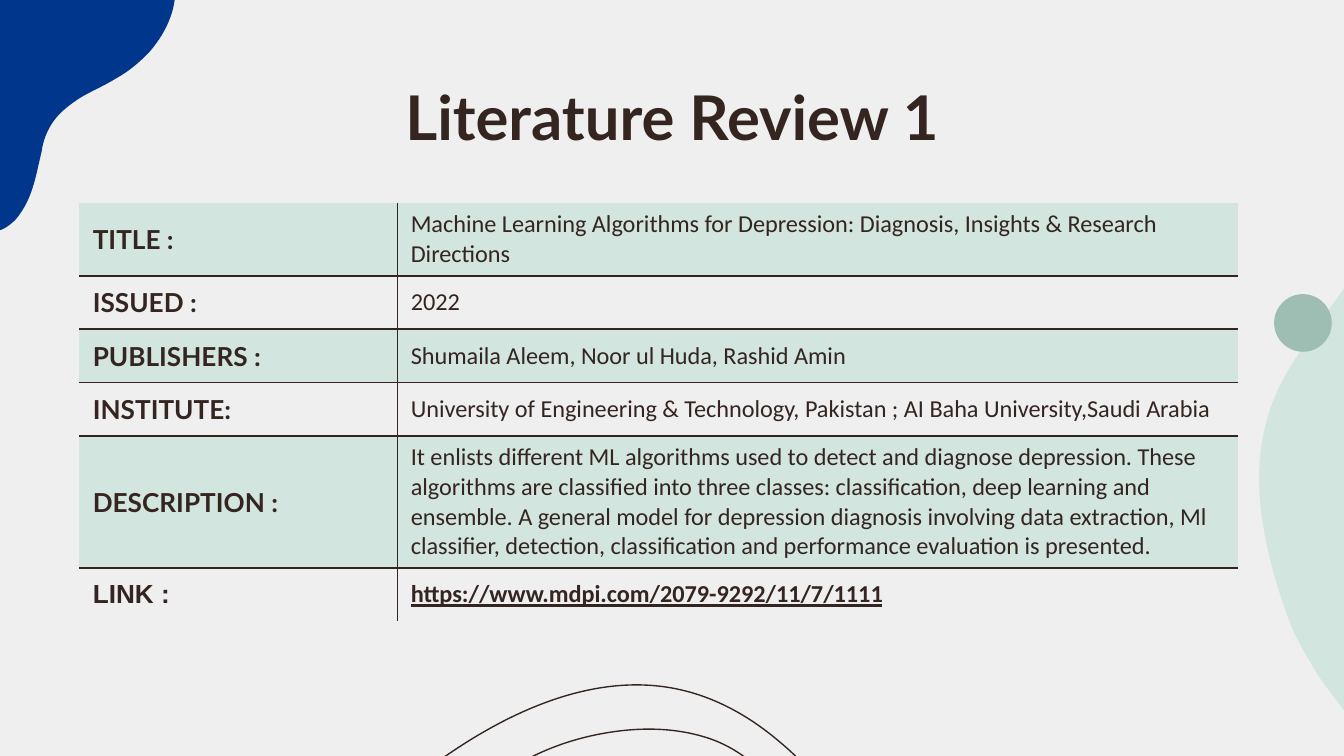
from dataclasses import dataclass

from lxml.etree import Element, SubElement
from pptx import Presentation
from pptx.dml.color import RGBColor
from pptx.enum.shapes import MSO_SHAPE
from pptx.enum.text import MSO_ANCHOR, MSO_AUTO_SIZE, PP_ALIGN
from pptx.oxml.ns import qn
from pptx.util import Cm, Pt

Point = tuple[int, int]


@dataclass(frozen=True)
class Theme:
    ink: str = "342520"
    paper: str = "EFEFEF"
    mint: str = "D2E5DF"
    sage: str = "9EBDB3"
    blue: str = "00368C"
    heading_font: str = "Lato"
    body_font: str = "Calibri"
    title_size: float = 33
    label_size: float = 14
    body_size: float = 13
    rule: float = 1
    hairline: float = 0.75


@dataclass(frozen=True)
class Entry:
    label: str
    detail: str
    height: float = 1.01
    label_font: str = "Lato"
    is_link: bool = False


@dataclass(frozen=True)
class Outline:
    """A start point and Bézier curves (two controls, end), in units of GRID cm."""
    start: Point
    curves: list[tuple[int, ...]]
    corners: tuple[Point, ...] = ()
    fill: str | None = None


THEME = Theme()
GRID = 0.0254
NO_TABLE_STYLE = "{2D5ABB26-0587-4C30-8999-92F81FD0307C}"

ENTRIES = [
    Entry("TITLE :", "Machine Learning Algorithms for Depression: Diagnosis, "
          "Insights & Research Directions", 1.36),
    Entry("ISSUED :", "2022"),
    Entry("PUBLISHERS :", "Shumaila Aleem, Noor ul Huda, Rashid Amin"),
    Entry("INSTITUTE:", "University of Engineering & Technology, Pakistan ; "
          "AI Baha University,Saudi Arabia"),
    Entry("DESCRIPTION :", "It enlists different ML algorithms used to detect and "
          "diagnose depression. These algorithms are classified into three classes: "
          "classification, deep learning and ensemble. A general model for depression "
          "diagnosis involving data extraction, Ml classifier, detection, "
          "classification and performance evaluation is presented.", 2.49),
    Entry("LINK :", "https://www.mdpi.com/2079-9292/11/7/1111",
          label_font="Arial", is_link=True),
]

MINT_WAVE = Outline((1005, 535), [
    (997, 525, 989, 514, 981, 503), (975, 493, 969, 483, 963, 471),
    (958, 459, 953, 445, 949, 431), (941, 403, 934, 369, 938, 336),
    (942, 304, 954, 281, 966, 264), (973, 252, 981, 241, 989, 230),
    (994, 223, 1000, 215, 1005, 208),
], fill=THEME.mint)

BLUE_BLOB = Outline((130, 0), [
    (128, 15, 120, 29, 110, 40), (103, 47, 96, 53, 87, 58),
    (79, 63, 70, 67, 61, 72), (53, 77, 45, 83, 40, 90),
    (35, 97, 32, 105, 31, 113), (27, 129, 25, 145, 15, 159),
    (12, 164, 6, 169, 1, 171), (0, 171, 0, 171, 0, 171),
], corners=((0, 0),), fill=THEME.blue)

SCRIBBLE = Outline((316, 574), [
    (373, 531, 445, 496, 513, 515), (538, 522, 560, 535, 580, 552),
    (597, 566, 612, 583, 620, 604), (630, 629, 628, 658, 621, 683),
    (605, 737, 565, 783, 513, 802), (460, 820, 397, 808, 358, 769),
    (319, 729, 309, 663, 337, 616), (360, 577, 404, 554, 448, 546),
    (475, 541, 503, 541, 529, 550), (554, 559, 577, 579, 585, 605),
    (590, 621, 590, 639, 585, 655), (573, 698, 530, 731, 485, 727),
    (441, 722, 404, 677, 413, 633), (417, 612, 431, 593, 451, 586),
    (471, 579, 496, 587, 506, 606), (518, 629, 503, 660, 480, 672),
    (457, 685, 429, 683, 404, 678), (378, 673, 353, 665, 326, 664),
    (300, 664, 272, 673, 258, 696), (242, 721, 251, 755, 266, 782),
    (294, 831, 343, 870, 398, 875), (456, 881, 514, 850, 549, 803),
    (565, 779, 577, 752, 579, 724), (581, 689, 567, 654, 544, 628),
    (521, 601, 489, 583, 456, 573), (405, 558, 350, 561, 303, 584),
    (256, 607, 219, 651, 208, 703), (197, 754, 214, 811, 253, 846),
])


def rgb(value: str) -> RGBColor:
    return RGBColor.from_string(value)


def on_grid(x: int, y: int) -> tuple[Cm, Cm]:
    return Cm(x * GRID), Cm(y * GRID)


def bend_segments(shape, curves: list[tuple[int, ...]]) -> None:
    """Turn the first straight segments of a freeform into Bézier curves."""
    segments = list(shape._element.iter(qn("a:lnTo")))
    for segment, (x1, y1, x2, y2, *_) in zip(segments, curves):
        segment.tag = qn("a:cubicBezTo")
        for position, control in enumerate(((x1, y1), (x2, y2))):
            x, y = on_grid(*control)
            segment.insert(position, Element(qn("a:pt"), x=str(x - shape.left),
                                             y=str(y - shape.top)))


def draw_outline(slide, outline: Outline) -> None:
    builder = slide.shapes.build_freeform(*on_grid(*outline.start), scale=1.0)
    ends = [curve[4:] for curve in outline.curves]
    builder.add_line_segments([on_grid(*end) for end in (*ends, *outline.corners)],
                              close=outline.fill is not None)
    shape = builder.convert_to_shape()
    bend_segments(shape, outline.curves)
    shape.shadow.inherit = False
    if outline.fill:
        shape.fill.solid()
        shape.fill.fore_color.rgb = rgb(outline.fill)
        shape.line.fill.background()
    else:
        shape.fill.background()
        shape.line.color.rgb = rgb(THEME.ink)
        shape.line.width = Pt(THEME.hairline)


def draw_dot(slide) -> None:
    dot = slide.shapes.add_shape(MSO_SHAPE.OVAL, Cm(24.08), Cm(5.56), Cm(1.09), Cm(1.09))
    dot.shadow.inherit = False
    dot.fill.solid()
    dot.fill.fore_color.rgb = rgb(THEME.sage)
    dot.line.fill.background()


def style_font(font, name: str, size: float, bold: bool) -> None:
    font.name, font.size, font.bold = name, Pt(size), bold
    font.color.rgb = rgb(THEME.ink)


def write_title(slide, text: str) -> None:
    title = slide.shapes.title
    title.left, title.top, title.width, title.height = Cm(2), Cm(1.24), Cm(21.4), Cm(1.6)
    frame = title.text_frame
    frame.text = text
    frame.auto_size = MSO_AUTO_SIZE.NONE
    frame.vertical_anchor = MSO_ANCHOR.TOP
    frame.margin_left = frame.margin_right = Cm(0.25)
    frame.margin_top = frame.margin_bottom = Cm(0.25)
    heading = frame.paragraphs[0]
    heading.alignment = PP_ALIGN.CENTER
    style_font(heading.font, THEME.heading_font, THEME.title_size, True)


def add_border(cell, side: str) -> None:
    border = SubElement(cell._tc.get_or_add_tcPr(), qn(f"a:ln{side}"),
                        w=str(Pt(THEME.rule)))
    SubElement(SubElement(border, qn("a:solidFill")), qn("a:srgbClr"), val=THEME.ink)


def draw_entries(slide, entries: list[Entry]) -> None:
    height = sum(entry.height for entry in entries)
    table = slide.shapes.add_table(len(entries), 2, Cm(1.5), Cm(3.84),
                                   Cm(21.9), Cm(height)).table
    table.first_row = table.horz_banding = False
    table._tbl.tblPr.find(qn("a:tableStyleId")).text = NO_TABLE_STYLE
    for column, width in zip(table.columns, (6.01, 15.89)):
        column.width = Cm(width)
    for index, entry in enumerate(entries):
        table.rows[index].height = Cm(entry.height)
        label, detail = table.cell(index, 0), table.cell(index, 1)
        label.text, detail.text = entry.label, entry.detail
        for cell, inner_side in ((label, "R"), (detail, "L")):
            add_border(cell, inner_side)
            if index > 0:
                add_border(cell, "T")
            if index < len(entries) - 1:
                add_border(cell, "B")
            cell.fill.solid()
            cell.fill.fore_color.rgb = rgb(THEME.paper if index % 2 else THEME.mint)
            cell.vertical_anchor = MSO_ANCHOR.MIDDLE
        style_font(label.text_frame.paragraphs[0].font,
                   entry.label_font, THEME.label_size, True)
        detail_font = detail.text_frame.paragraphs[0].font
        style_font(detail_font, THEME.body_font, THEME.body_size, entry.is_link)
        detail_font.underline = entry.is_link


def main() -> None:
    deck = Presentation()
    deck.slide_width, deck.slide_height = Cm(25.4), Cm(14.29)
    slide = deck.slides.add_slide(deck.slide_layouts[5])
    slide.background.fill.solid()
    slide.background.fill.fore_color.rgb = rgb(THEME.paper)
    for outline in (MINT_WAVE, BLUE_BLOB, SCRIBBLE):
        draw_outline(slide, outline)
    draw_dot(slide)
    write_title(slide, "Literature Review 1")
    draw_entries(slide, ENTRIES)
    deck.save("out.pptx")


if __name__ == "__main__":
    main()
